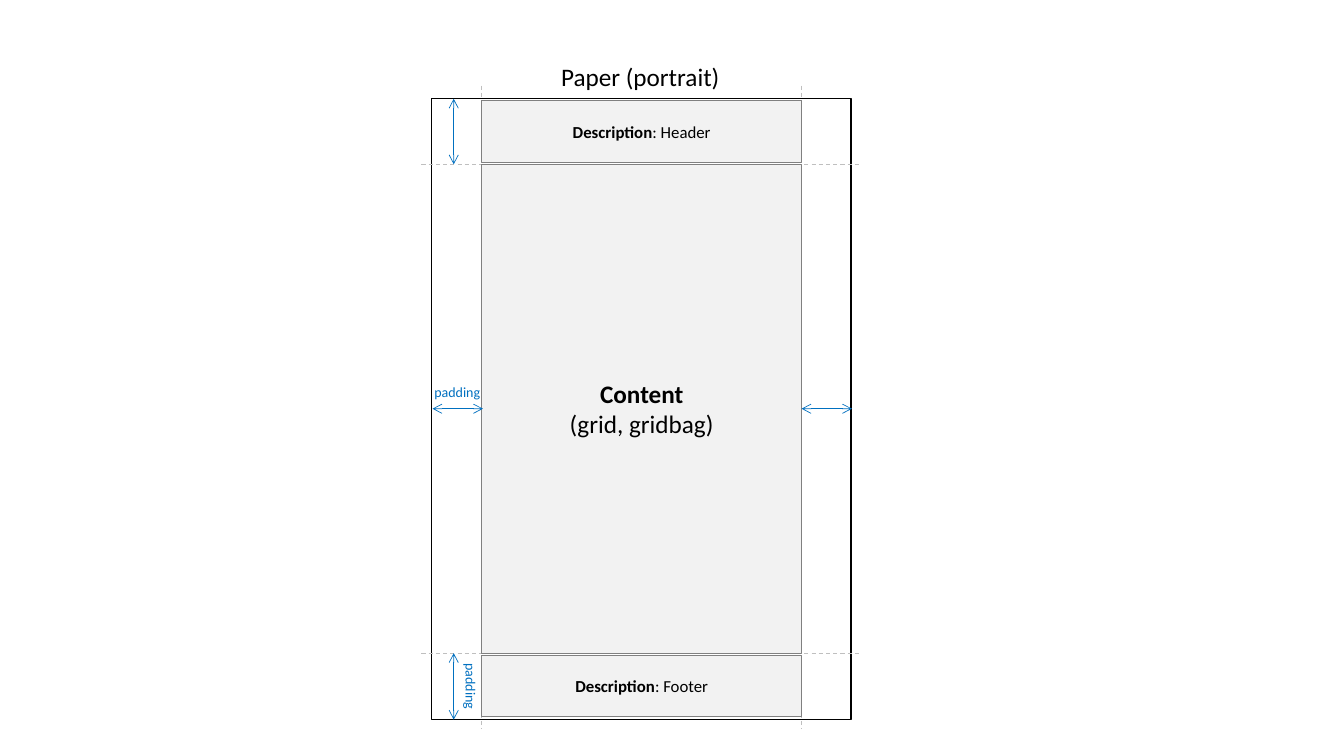
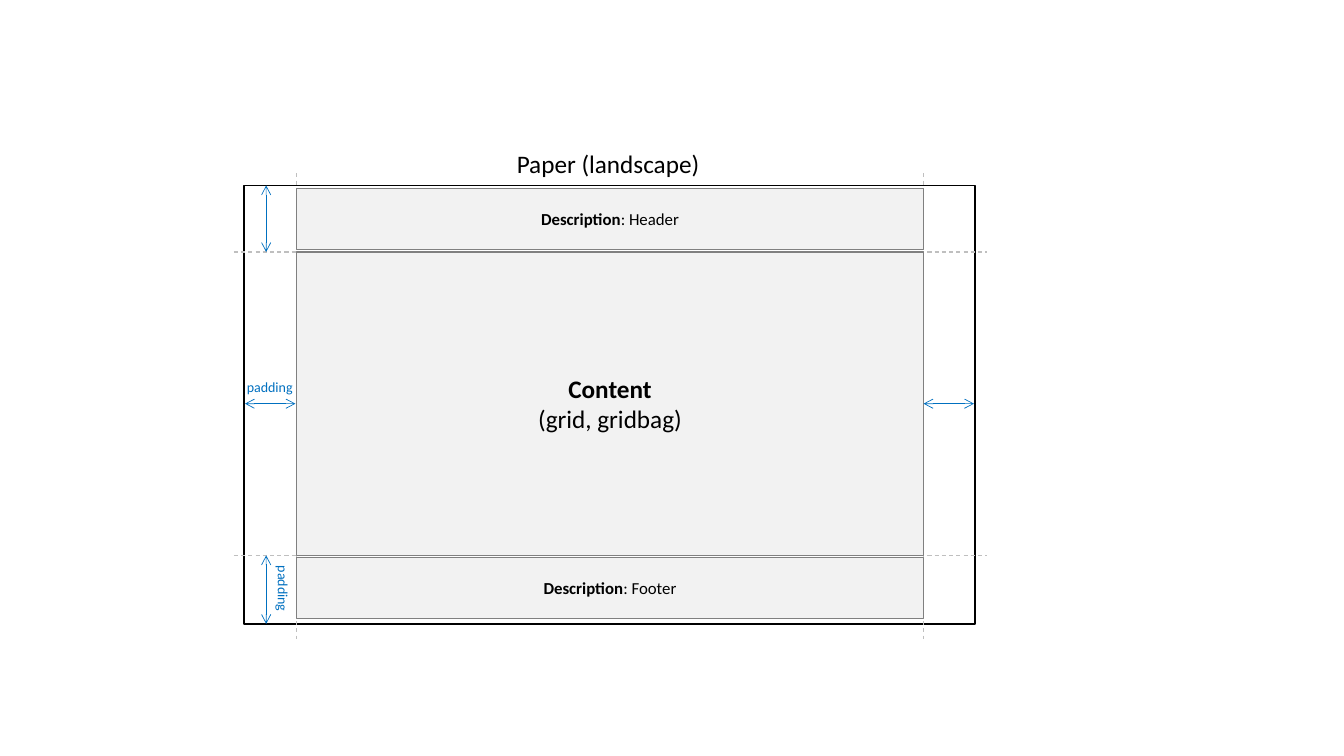
import pptx
import pptx.util
import pptx.dml.color
import pptx.enum.dml
import pptx.enum.shapes
import pptx.enum.text
import pptx.oxml.ns
import lxml.etree

Inches = pptx.util.Inches
Align = pptx.enum.text.PP_ALIGN
Anchor = pptx.enum.text.MSO_ANCHOR

COLORS = {"ink": "000000", "accent": "0070C0", "guide": "BFBFBF",
          "panel": "F2F2F2", "border": "808080"}

PANEL_HEIGHT = 0.61
PANEL_GAP = 0.02
PADDING_WIDTH = 0.5

# Boxes are left, top, width, height; guides are the outer ends of the dashed lines
PAPERS = [
    {"title": "Paper (portrait)", "title_width": 1.79,
     "paper": (4.28, 0.98, 4.16, 6.16), "content": (4.78, 1.63, 3.17, 4.85),
     "guides_x": (4.18, 8.53), "guides_y": (0.85, 7.23)},
    {"title": "Paper (landscape)", "title_width": 2.04,
     "paper": (2.42, 1.84, 7.25, 4.35), "content": (2.94, 2.5, 6.22, 3.01),
     "guides_x": (2.32, 9.79), "guides_y": (1.72, 6.34)},
]


def rgb(name):
    return pptx.dml.color.RGBColor.from_string(COLORS[name])


class PaperDeck:
    """Holds the shared style and the slide being drawn."""

    font_name = "Calibri"
    label_frame = {"word_wrap": False, "vertical_anchor": Anchor.TOP,
                   "auto_size": pptx.enum.text.MSO_AUTO_SIZE.SHAPE_TO_FIT_TEXT}
    panel_frame = {"word_wrap": True, "vertical_anchor": Anchor.MIDDLE}

    def __init__(self):
        self.presentation = pptx.Presentation()
        self.presentation.slide_width = Inches(13.33)
        self.presentation.slide_height = Inches(7.5)
        self.slide = None

    def fill_text(self, shape, paragraphs, size, color, align, frame_format):
        """Each paragraph is a list of (text, bold) runs."""
        frame = shape.text_frame
        for name, value in frame_format.items():
            setattr(frame, name, value)
        run_format = {"name": self.font_name, "size": pptx.util.Pt(size)}
        for index, runs in enumerate(paragraphs):
            paragraph = frame.add_paragraph() if index else frame.paragraphs[0]
            paragraph.alignment = align
            for text, bold in runs:
                run = paragraph.add_run()
                run.text = text
                for name, value in {**run_format, "bold": bold}.items():
                    setattr(run.font, name, value)
                run.font.color.rgb = rgb(color)

    def add_titled_slide(self, title, left, top, width):
        layout = self.presentation.slide_layouts.get_by_name("Title Only")
        self.slide = self.presentation.slides.add_slide(layout)
        shape = self.slide.shapes.title
        place = {"left": left, "top": top, "width": width, "height": 0.4}
        for name, value in place.items():
            setattr(shape, name, Inches(value))
        self.fill_text(shape, [[(title, False)]], 18, "ink", Align.LEFT,
                       self.label_frame)

    def add_box(self, box, line, weight, fill=None):
        shape = self.slide.shapes.add_shape(
            pptx.enum.shapes.MSO_SHAPE.RECTANGLE, *map(Inches, box))
        shape.shadow.inherit = False
        if fill:
            shape.fill.solid()
            shape.fill.fore_color.rgb = rgb(fill)
        else:
            shape.fill.background()
        shape.line.color.rgb = rgb(line)
        shape.line.width = pptx.util.Pt(weight)
        return shape

    def add_panel(self, box, paragraphs, size):
        shape = self.add_box(box, "border", 0.75, "panel")
        self.fill_text(shape, paragraphs, size, "ink", Align.CENTER, self.panel_frame)

    def add_padding_label(self, left, top, rotation=0):
        shape = self.slide.shapes.add_textbox(*map(Inches, (left, top, 0.66, 0.27)))
        shape.rotation = rotation
        self.fill_text(shape, [[("padding", False)]], 10, "accent", Align.LEFT,
                       self.label_frame)

    def add_line(self, start, end, color, weight):
        connector = self.slide.shapes.add_connector(
            pptx.enum.shapes.MSO_CONNECTOR.STRAIGHT, *map(Inches, (*start, *end)))
        connector.line.color.rgb = rgb(color)
        connector.line.width = pptx.util.Pt(weight)
        lxml.etree.SubElement(connector._element.spPr,
                              pptx.oxml.ns.qn("a:effectLst"))
        return connector

    def add_guide(self, start, end):
        guide = self.add_line(start, end, "guide", 0.75)
        guide.line.dash_style = pptx.enum.dml.MSO_LINE.DASH

    def add_arrow(self, start, end):
        arrow = self.add_line(start, end, "accent", 0.5)
        outline = arrow._element.spPr.find(pptx.oxml.ns.qn("a:ln"))
        for tag in ("a:headEnd", "a:tailEnd"):
            lxml.etree.SubElement(outline, pptx.oxml.ns.qn(tag), type="arrow")

    def add_paper(self, title, title_width, paper, content, guides_x, guides_y):
        paper_left, paper_top, paper_width, paper_height = paper
        left, top, width, height = content
        right, bottom, middle = left + width, top + height, top + height / 2

        # Title and sheet outline
        self.add_titled_slide(title, paper_left + (paper_width - title_width) / 2,
                              paper_top - 0.42, title_width)
        self.add_box(paper, "ink", 1)

        # Dashed guides along the content edges
        for y in (top, bottom):
            self.add_guide((guides_x[0], y), (guides_x[1], y))
        for x in (left, right):
            self.add_guide((x, guides_y[0]), (x, guides_y[1]))

        # Content, header and footer
        self.add_panel(content, [[("Content", True)], [("(grid, gridbag)", False)]], 18)
        for name, y in (("Header", top - PANEL_GAP - PANEL_HEIGHT),
                        ("Footer", bottom + PANEL_GAP)):
            self.add_panel((left, y, width, PANEL_HEIGHT),
                           [[("Description", True), (f": {name}", False)]], 12)

        # Padding arrows and labels
        for x in (paper_left + 0.01, right):
            self.add_arrow((x, middle), (x + PADDING_WIDTH, middle))
        arrow_x = paper_left + 0.22
        for start, end in ((paper_top, top), (bottom, paper_top + paper_height)):
            self.add_arrow((arrow_x, start), (arrow_x, end))
        self.add_padding_label(paper_left - 0.07, middle - 0.3)
        self.add_padding_label(paper_left + 0.06, bottom + 0.2, rotation=90)


def main():
    deck = PaperDeck()
    for paper in PAPERS:
        deck.add_paper(**paper)
    deck.presentation.save("out.pptx")


if __name__ == "__main__":
    main()
